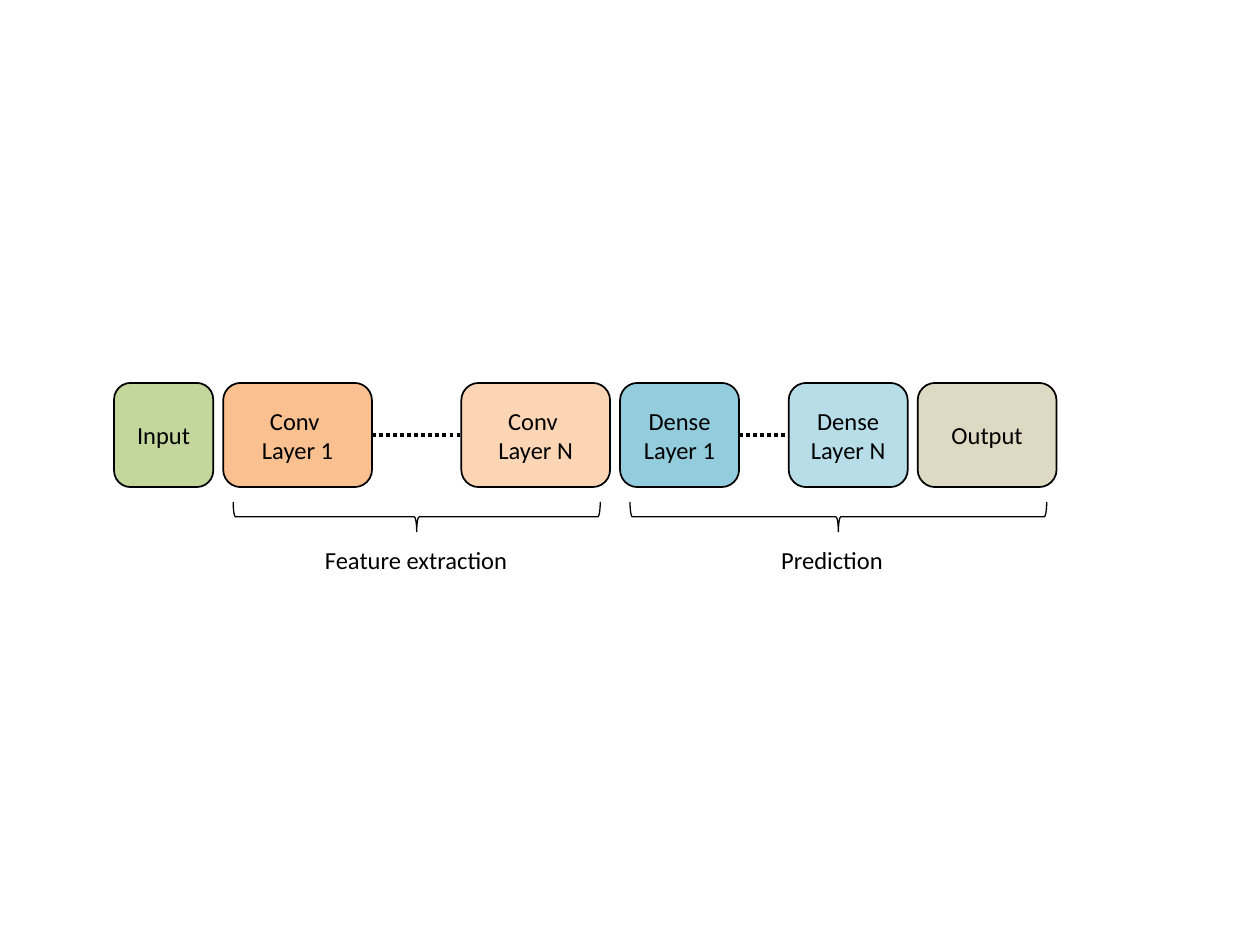
"""Draw a convolutional network as a row of layers with two braced stages."""
from dataclasses import dataclass

from pptx import Presentation
from pptx import util as u
from pptx.dml.color import RGBColor
from pptx.enum import dml, shapes, text
from pptx.oxml.xmlchemy import OxmlElement
from pptx.shapes.autoshape import Shape
from pptx.slide import Slide
from pptx.text.text import _Paragraph

BLACK = RGBColor(0x00, 0x00, 0x00)
GREEN = RGBColor(0xC3, 0xD6, 0x9B)
ORANGE = RGBColor(0xFA, 0xC0, 0x90)
PEACH = RGBColor(0xFC, 0xD5, 0xB5)
TEAL = RGBColor(0x93, 0xCD, 0xDD)
PALE_TEAL = RGBColor(0xB7, 0xDE, 0xE8)
SAND = RGBColor(0xDD, 0xD9, 0xC3)

LEFT, TOP, HEIGHT = 2.3, 7.72, 2.1
GAP = 0.2
BRACE_TOP, BRACE_DEPTH = TOP + HEIGHT + 0.3, 0.6
CAPTION_TOP, CAPTION_WIDTH, CAPTION_HEIGHT = 10.87, 4.2, 0.86


@dataclass(frozen=True)
class Layer:
    lines: tuple[str, ...]
    width: float
    fill: RGBColor
    gap_after: float = GAP
    dotted_after: bool = False


@dataclass(frozen=True)
class Stage:
    caption: str
    first: int
    last: int
    caption_left: float


LAYERS = (
    Layer(("Input",), 2.0, GREEN),
    Layer(("Conv ", "Layer 1"), 3.0, ORANGE, 1.8, True),
    Layer(("Conv ", "Layer N"), 3.0, PEACH),
    Layer(("Dense Layer 1",), 2.4, TEAL, 1.0, True),
    Layer(("Dense Layer N",), 2.4, PALE_TEAL),
    Layer(("Output",), 2.8, SAND),
)
STAGES = (
    Stage("Feature extraction", 1, 2, 6.3),
    Stage("Prediction", 3, 5, 15.5),
)


def add_span(para: _Paragraph, words: str) -> None:
    span = para.add_run()
    span.text = words
    span.font.name = "Calibri"
    span.font.size = u.Pt(14)
    span.font.color.rgb = BLACK


def draw_layer(page: Slide, layer: Layer, left: float) -> Shape:
    box = page.shapes.add_shape(
        shapes.MSO_SHAPE.ROUNDED_RECTANGLE,
        u.Cm(left), u.Cm(TOP), u.Cm(layer.width), u.Cm(HEIGHT),
    )
    box.shadow.inherit = False
    box.fill.solid()
    box.fill.fore_color.rgb = layer.fill
    box.line.color.rgb = BLACK
    box.line.width = u.Pt(1)
    box.text_frame.vertical_anchor = text.MSO_ANCHOR.MIDDLE
    para = box.text_frame.paragraphs[0]
    para.alignment = text.PP_ALIGN.CENTER
    for index, line in enumerate(layer.lines):
        if index:
            para.add_line_break()
        add_span(para, line)
    return box


def draw_dots(page: Slide, start: Shape, end: Shape) -> None:
    dots = page.shapes.add_connector(shapes.MSO_CONNECTOR.STRAIGHT, 0, 0, 0, 0)
    dots.begin_connect(start, 3)
    dots.end_connect(end, 1)
    dots.line.color.rgb = BLACK
    dots.line.width = u.Pt(2)
    dots.line.dash_style = dml.MSO_LINE.ROUND_DOT
    dots._element.spPr.append(OxmlElement("a:effectLst"))


def draw_brace(page: Slide, first: Shape, last: Shape) -> None:
    start = first.left + u.Cm(GAP)
    end = last.left + last.width - u.Cm(GAP)
    length, depth = end - start, u.Cm(BRACE_DEPTH)
    brace = page.shapes.add_shape(
        shapes.MSO_SHAPE.RIGHT_BRACE,
        (start + end - depth) // 2,
        u.Cm(BRACE_TOP) + (depth - length) // 2,
        depth, length,
    )
    brace.rotation = 90
    brace.shadow.inherit = False
    brace.fill.background()
    brace.line.color.rgb = BLACK
    brace.line.width = u.Pt(0.75)


def draw_caption(page: Slide, stage: Stage) -> None:
    box = page.shapes.add_textbox(
        u.Cm(stage.caption_left), u.Cm(CAPTION_TOP),
        u.Cm(CAPTION_WIDTH), u.Cm(CAPTION_HEIGHT),
    )
    box.text_frame.word_wrap = True
    box.text_frame.auto_size = text.MSO_AUTO_SIZE.SHAPE_TO_FIT_TEXT
    add_span(box.text_frame.paragraphs[0], stage.caption)


def main() -> None:
    deck = Presentation()
    deck.slide_width, deck.slide_height = u.Cm(25.4), u.Cm(19.05)
    page = deck.slides.add_slide(deck.slide_layouts[6])

    boxes = []
    left = LEFT
    for layer in LAYERS:
        boxes.append(draw_layer(page, layer, left))
        left += layer.width + layer.gap_after

    for layer, start, end in zip(LAYERS, boxes, boxes[1:]):
        if layer.dotted_after:
            draw_dots(page, start, end)

    for stage in STAGES:
        draw_brace(page, boxes[stage.first], boxes[stage.last])
        draw_caption(page, stage)

    deck.save("out.pptx")


if __name__ == "__main__":
    main()
